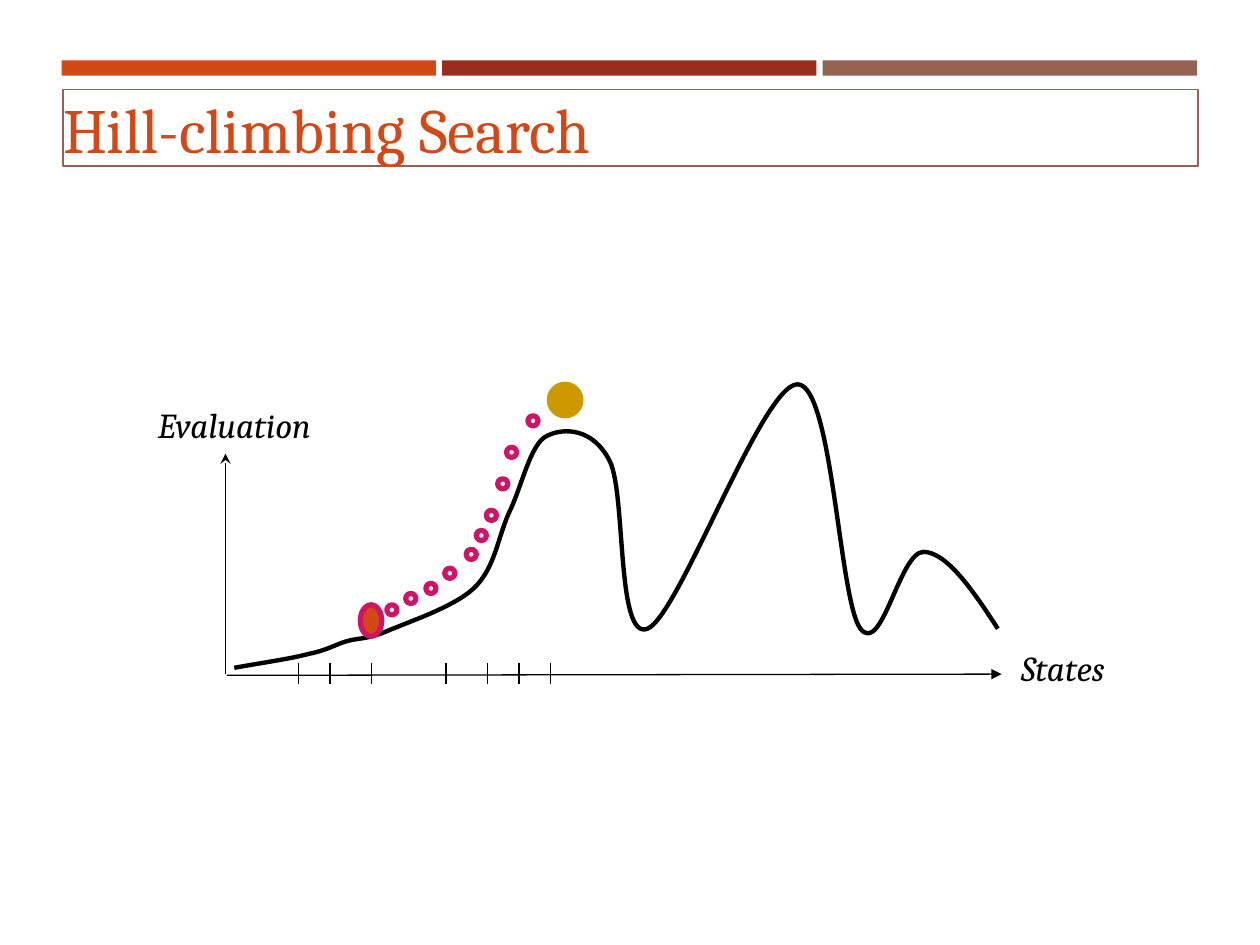
from lxml import etree
from pptx import Presentation
from pptx.dml.color import RGBColor
from pptx.enum.shapes import MSO_CONNECTOR, MSO_SHAPE
from pptx.enum.text import MSO_ANCHOR, PP_ALIGN
from pptx.oxml.ns import qn
from pptx.util import Inches, Pt

STRAIGHT = MSO_CONNECTOR.STRAIGHT
RECTANGLE, OVAL = MSO_SHAPE.RECTANGLE, MSO_SHAPE.OVAL
MIDDLE = MSO_ANCHOR.MIDDLE
LEFT, CENTER = PP_ALIGN.LEFT, PP_ALIGN.CENTER
ORANGE, BROWN, PINK, GOLD, BLACK = "D34817", "956251", "D01465", "CC9900", "000000"


def color(value):
    return RGBColor.from_string(value)


def paint(shape, fill=None, line=None, width=1):
    shape.shadow.inherit = False
    if fill:
        shape.fill.solid()
        shape.fill.fore_color.rgb = color(fill)
    else:
        shape.fill.background()
    if line:
        shape.line.color.rgb = color(line)
        shape.line.width = Pt(width)
    else:
        shape.line.fill.background()


deck = Presentation()
deck.slide_width, deck.slide_height = Inches(10), Inches(7.5)
page = deck.slides.add_slide(deck.slide_layouts[6])
shapes = page.shapes

for column, fill in enumerate([ORANGE, "9B2D1F", BROWN]):
    bar = shapes.add_shape(RECTANGLE, Inches(0.49 + 3.02 * column), Inches(0.48), Inches(2.97), Inches(0.12))
    paint(bar, fill)

hill_points = [
    (1.86, 5.3),
    (2.08, 5.26), (2.3, 5.23), (2.45, 5.19),
    (2.6, 5.16), (2.65, 5.12), (2.75, 5.09),
    (2.85, 5.06), (2.9, 5.08), (3.07, 5.01),
    (3.23, 4.94), (3.6, 4.82), (3.76, 4.67),
    (3.93, 4.51), (3.95, 4.27), (4.04, 4.07),
    (4.14, 3.87), (4.21, 3.52), (4.34, 3.46),
    (4.48, 3.39), (4.71, 3.4), (4.84, 3.66),
    (4.97, 3.92), (4.89, 5.09), (5.14, 4.99),
    (5.39, 4.89), (6.05, 3.05), (6.33, 3.05),
    (6.61, 3.05), (6.66, 4.77), (6.83, 4.99),
    (7, 5.21), (7.14, 4.38), (7.33, 4.38),
    (7.51, 4.38), (7.72, 4.68), (7.92, 4.99),
]
start, *others = [(Inches(x), Inches(y)) for x, y in hill_points]
builder = shapes.build_freeform(*start)
builder.add_line_segments(others, close=False)
hill = builder.convert_to_shape()
paint(hill, line=BLACK, width=2.5)
outline = next(hill.element.iter(qn("a:path")))
segments = outline.findall(qn("a:lnTo"))
for first in range(0, len(segments), 3):
    curve = etree.SubElement(outline, qn("a:cubicBezTo"))
    for segment in segments[first:first + 3]:
        curve.append(segment[0])
        outline.remove(segment)

lines = [(1.79, 5.35, 1.79, 3.6, "stealth"), (1.8, 5.36, 7.95, 5.35, "triangle")]
lines += [(x, 5.26, x, 5.43, None) for x in (2.37, 2.62, 2.95, 3.54, 3.87, 4.12, 4.37)]
for *ends, arrow in lines:
    connector = shapes.add_connector(STRAIGHT, *map(Inches, ends))
    connector.line.color.rgb = color(BLACK)
    connector.line.width = Pt(0.75)
    properties = connector.element.spPr
    if arrow:
        etree.SubElement(properties.find(qn("a:ln")), qn("a:tailEnd"), type=arrow)
    etree.SubElement(properties, qn("a:effectLst"))

steps = [
    (3.07, 4.8), (3.22, 4.71), (3.38, 4.63), (3.53, 4.51), (3.7, 4.36),
    (3.78, 4.21), (3.86, 4.05), (3.95, 3.8), (4.02, 3.55), (4.19, 3.3),
]
ovals = [(2.86, 4.8, 0.17, 0.25, ORANGE, PINK)]
ovals += [(x, y, 0.08, 0.08, None, PINK) for x, y in steps]
ovals.append((4.36, 3.05, 0.25, 0.25, GOLD, GOLD))
for *bounds, fill, line in ovals:
    oval = shapes.add_shape(OVAL, *map(Inches, bounds))
    paint(oval, fill, line, 3)

title = shapes.add_shape(RECTANGLE, Inches(0.5), Inches(0.71), Inches(9.01), Inches(0.61))
paint(title, line=BROWN)
states = shapes.add_textbox(Inches(7.96), Inches(5.13), Inches(0.95), Inches(0.34))
evaluation = shapes.add_textbox(Inches(1.09), Inches(3.2), Inches(1.54), Inches(0.34))

texts = [
    (title, "Hill-climbing Search", LEFT, True, 0, ORANGE, {"size": Pt(36), "italic": False}),
    (states, "States", CENTER, False, 0.1, BLACK, {"size": Pt(20), "italic": True}),
    (evaluation, "Evaluation", CENTER, False, 0.1, BLACK, {"size": Pt(20), "italic": True}),
]
for box, words, alignment, wrap, inset, ink, font_values in texts:
    frame = box.text_frame
    frame_values = {
        "word_wrap": wrap, "vertical_anchor": MIDDLE,
        "margin_left": Inches(inset), "margin_right": Inches(inset),
        "margin_top": 0, "margin_bottom": 0,
    }
    for name, value in frame_values.items():
        setattr(frame, name, value)
    para = frame.paragraphs[0]
    para.alignment = alignment
    span = para.add_run()
    span.text = words
    span.font.name = "Cambria"
    span.font.color.rgb = color(ink)
    for name, value in font_values.items():
        setattr(span.font, name, value)

deck.save("out.pptx")
